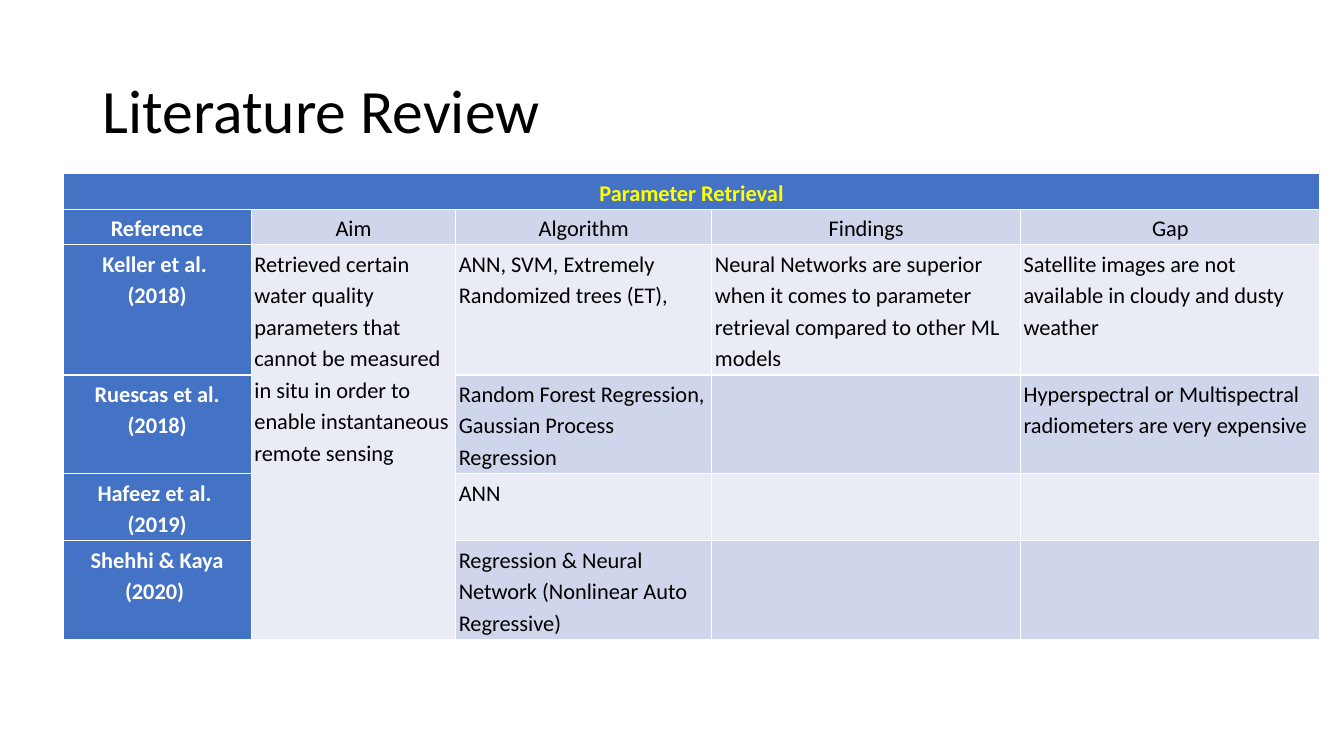
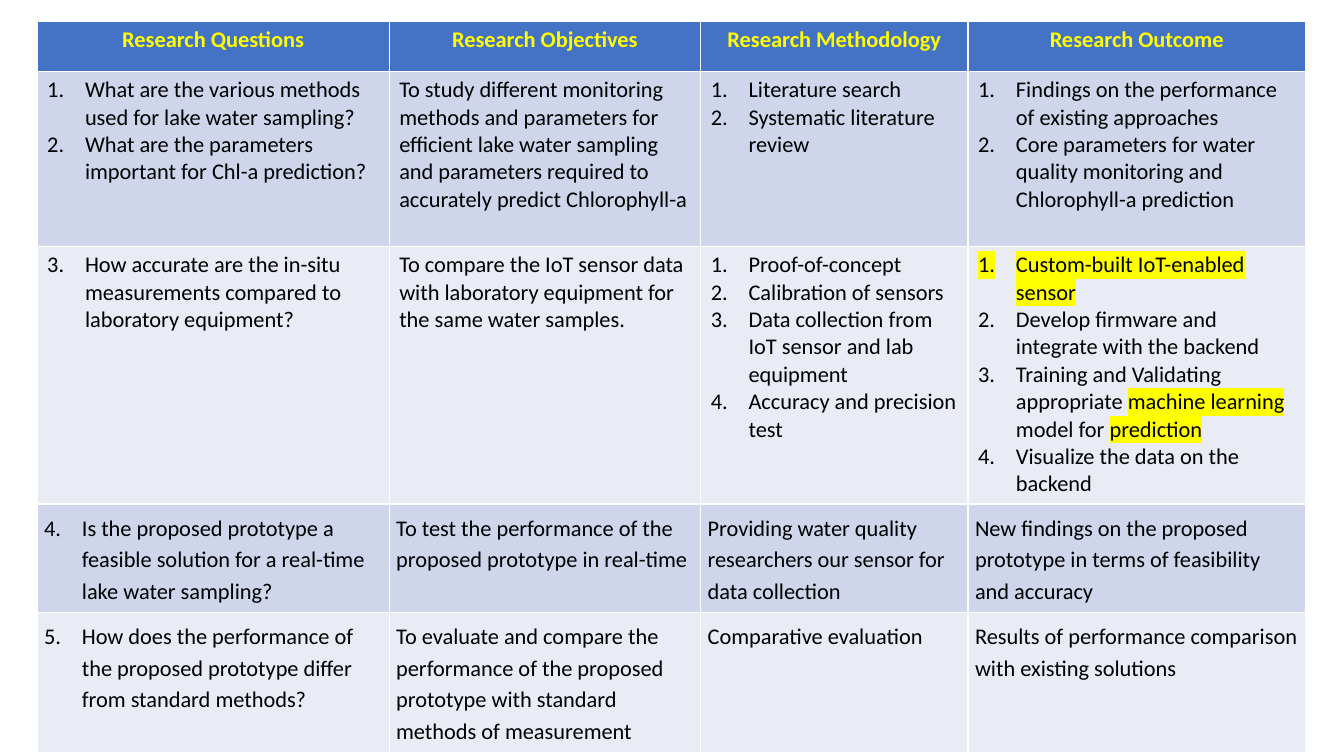
from lxml.etree import SubElement
from pptx import Presentation
from pptx.dml.color import RGBColor
from pptx.enum.text import MSO_ANCHOR, PP_ALIGN
from pptx.oxml.ns import qn
from pptx.util import Pt

COLORS = {
    "header": "4472C4", "odd_row": "CFD5EA", "even_row": "E9EBF5",
    "text": "000000", "reference": "FFFFFF", "heading": "FFFF00",
    "highlight": "FFFF00",
}
FONT = "Calibri"
TITLE_SIZE, TABLE_SIZE = 44, 16
NUMBER_INDENT = 27

REVIEW_TITLE = "Literature Review"
REVIEW_HEADING = "Parameter Retrieval"
REVIEW_COLUMNS = ["Reference", "Aim", "Algorithm", "Findings", "Gap"]
REVIEW_AIM = ("Retrieved certain water quality parameters that cannot be measured "
              "in situ in order to enable instantaneous remote sensing")
# Reference lines, algorithm, findings, gap
STUDIES = [
    (["Keller et al. ", "(2018)"], "ANN, SVM, Extremely Randomized trees (ET),",
     "Neural Networks are superior when it comes to parameter retrieval compared to other ML models",
     "Satellite images are not available in cloudy and dusty weather"),
    (["Ruescas et al. (2018)"], "Random Forest Regression, Gaussian Process Regression", "",
     "Hyperspectral or Multispectral radiometers are very expensive"),
    (["Hafeez et al. ", "(2019)"], "ANN", "", ""),
    (["Shehhi & Kaya (2020) "],
     "Regression & Neural Network (Nonlinear Auto Regressive)", "", ""),
]
REVIEW_WIDTHS = [134.5, 146, 183, 220.5, 214]
REVIEW_HEIGHTS = [24.5, 24.5, 93, 70, 47.5, 70]

PLAN_COLUMNS = ["Research Questions", "Research Objectives",
                "Research Methodology", "Research Outcome"]
# Lists are numbered, and asterisks enclose highlighted words
PLAN = [
    (["What are the various methods used for lake water sampling?",
      "What are the parameters important for Chl-a prediction?"],
     "To study different monitoring methods and parameters for efficient lake water sampling "
     "and parameters required to accurately predict Chlorophyll-a",
     ["Literature search", "Systematic literature review"],
     ["Findings on the performance of existing approaches",
      "Core parameters for water quality monitoring and Chlorophyll-a prediction"]),
    (["How accurate are the in-situ measurements compared to laboratory equipment?"],
     "To compare the IoT sensor data with laboratory equipment for the same water samples.",
     ["Proof-of-concept", "Calibration of sensors",
      "Data collection from IoT sensor and lab equipment", "Accuracy and precision test"],
     ["*Custom-built IoT-enabled sensor*",
      "Develop firmware and integrate with the backend",
      "Training and Validating appropriate *machine learning *model for *prediction*",
      "Visualize the data on the backend"]),
    (["Is the proposed prototype a feasible solution for a real-time lake water sampling?"],
     "To test the performance of the proposed prototype in real-time",
     "Providing water quality researchers our sensor for data collection",
     "New findings on the proposed prototype in terms of feasibility and accuracy"),
    (["How does the performance of the proposed prototype differ from standard methods?"],
     "To evaluate and compare the performance of the proposed prototype with standard "
     "methods of measurement",
     "Comparative evaluation",
     "Results of performance comparison with existing solutions"),
]
PLAN_WIDTHS = [251.5, 222.5, 191, 241]
PLAN_HEIGHTS = [36, 125, 184, 77, 100]
FIRST_SPACED_ROW = 3


def color(name):
    return RGBColor.from_string(COLORS[name])


def add_grid(slide, left, top, widths, heights):
    table = slide.shapes.add_table(len(heights), len(widths), Pt(left), Pt(top),
                                   Pt(sum(widths)), Pt(sum(heights))).table
    for column, width in zip(table.columns, widths):
        column.width = Pt(width)
    for row, height in zip(table.rows, heights):
        row.height = Pt(height)
    return table


def row_fill(row):
    return "header" if row == 0 else "odd_row" if row % 2 else "even_row"


def add_runs(paragraph, text):
    """Write text, highlighting what stands between asterisks."""
    for index, words in enumerate(text.split("*")):
        if not words:
            continue
        run = paragraph.add_run()
        run.text = words
        if index % 2:
            highlight = SubElement(run._r.get_or_add_rPr(), qn("a:highlight"))
            SubElement(highlight, qn("a:srgbClr"), val=COLORS["highlight"])


def number(paragraph, start):
    properties = paragraph._p.get_or_add_pPr()
    properties.set("marL", str(Pt(NUMBER_INDENT)))
    properties.set("indent", str(-Pt(NUMBER_INDENT)))
    numbering = SubElement(properties, qn("a:buAutoNum"), type="arabicPeriod")
    if start > 1:
        numbering.set("startAt", str(start))


def fill_cell(cell, lines, fill, ink="text", bold=False, centered=False,
              margins=None, line_spacing=None, space=None, start=None):
    """Write one paragraph per line; a start value numbers them."""
    cell.fill.solid()
    cell.fill.fore_color.rgb = color(fill)
    if margins:
        cell.margin_left = cell.margin_right = Pt(margins[0])
        cell.margin_top = cell.margin_bottom = Pt(margins[1])
    frame = cell.text_frame
    for index, line in enumerate(lines):
        paragraph = frame.add_paragraph() if index else frame.paragraphs[0]
        if centered:
            paragraph.alignment = PP_ALIGN.CENTER
        if line_spacing:
            paragraph.line_spacing = line_spacing
        if space:
            paragraph.space_before = paragraph.space_after = Pt(space)
        if start:
            number(paragraph, start)
        font = paragraph.font
        font.name, font.size, font.bold = FONT, Pt(TABLE_SIZE), bold
        font.color.rgb = color(ink)
        add_runs(paragraph, line)


def build_review(prs):
    slide = prs.slides.add_slide(prs.slide_layouts[5])
    title = slide.shapes.title
    title.left, title.top, title.width, title.height = Pt(66), Pt(29), Pt(828), Pt(104)
    title.text_frame.text = REVIEW_TITLE
    title.text_frame.vertical_anchor = MSO_ANCHOR.MIDDLE
    heading = title.text_frame.paragraphs[0]
    heading.alignment = PP_ALIGN.LEFT
    heading.line_spacing = 0.9
    heading.font.name, heading.font.size = FONT, Pt(TITLE_SIZE)
    heading.font.color.rgb = color("text")

    table = add_grid(slide, 45, 124, REVIEW_WIDTHS, REVIEW_HEIGHTS)
    table.first_col = True
    last_row, last_column = len(REVIEW_HEIGHTS) - 1, len(REVIEW_WIDTHS) - 1
    table.cell(0, 0).merge(table.cell(0, last_column))
    table.cell(2, 1).merge(table.cell(last_row, 1))

    layout = {"margins": (2.25, 1.5), "line_spacing": 1.15}
    fill_cell(table.cell(0, 0), [REVIEW_HEADING], "header", "heading",
              bold=True, centered=True, **layout)
    rows = [([REVIEW_COLUMNS[0]], *REVIEW_COLUMNS[1:])]
    rows += [(reference, REVIEW_AIM if index == 0 else "", *details)
             for index, (reference, *details) in enumerate(STUDIES)]
    for row, (reference, *details) in enumerate(rows, 1):
        fill_cell(table.cell(row, 0), reference, "header", "reference",
                  bold=True, centered=True, **layout)
        for column, detail in enumerate(details, 1):
            fill_cell(table.cell(row, column), [detail], row_fill(row),
                      centered=row == 1, **layout)


def build_plan(prs):
    slide = prs.slides.add_slide(prs.slide_layouts[6])
    table = add_grid(slide, 26.5, 15, PLAN_WIDTHS, PLAN_HEIGHTS)
    for column, heading in enumerate(PLAN_COLUMNS):
        fill_cell(table.cell(0, column), [heading], "header", "heading",
                  bold=True, centered=True)
    next_question = 1
    for row, entries in enumerate(PLAN, 1):
        layout = {}
        if row >= FIRST_SPACED_ROW:
            layout = {"margins": (5, 5), "line_spacing": 1.15, "space": 12}
        for column, entry in enumerate(entries):
            numbered = isinstance(entry, list)
            start = next_question if column == 0 else 1
            fill_cell(table.cell(row, column), entry if numbered else [entry],
                      row_fill(row), start=start if numbered else None, **layout)
        next_question += len(entries[0])


def main():
    prs = Presentation()
    prs.slide_width, prs.slide_height = Pt(960), Pt(540)
    build_review(prs)
    build_plan(prs)
    prs.save("out.pptx")


if __name__ == "__main__":
    main()
